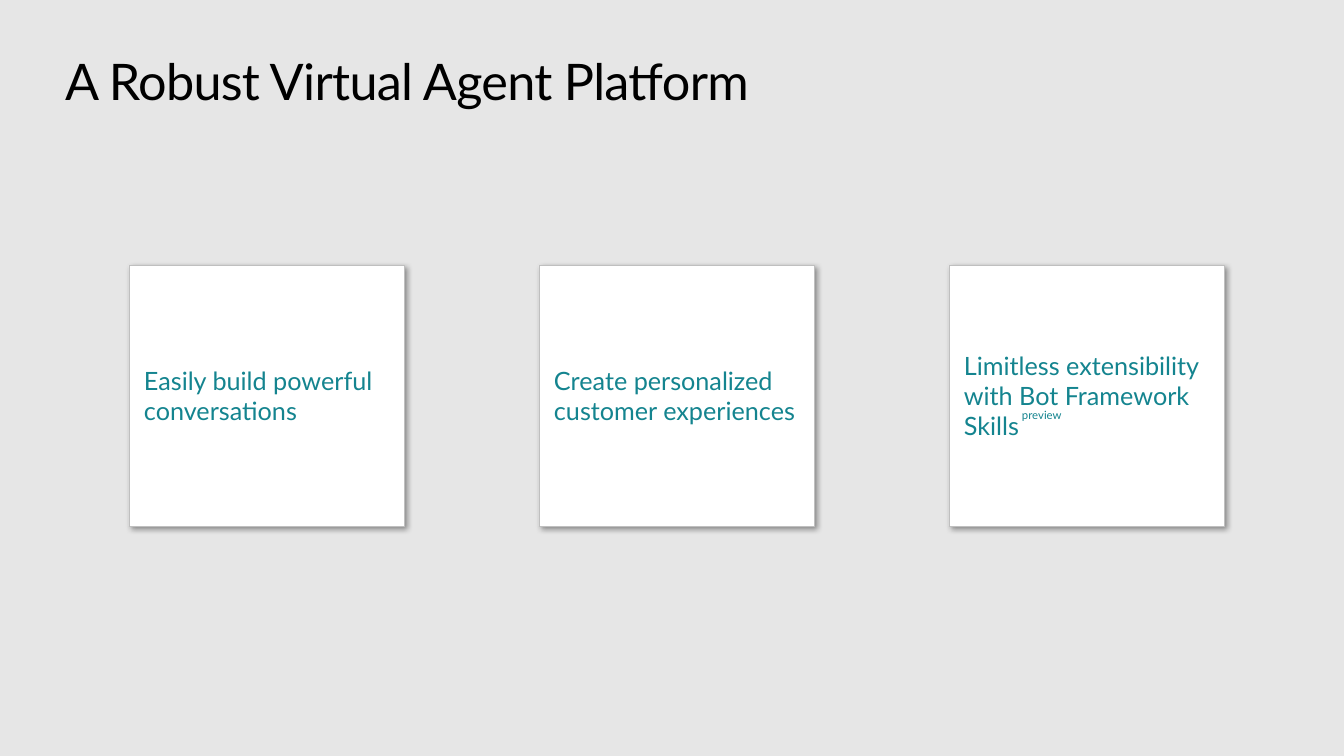
from lxml import etree
from pptx import Presentation
from pptx import util as u
from pptx.dml.color import RGBColor
from pptx.enum import shapes, text
from pptx.oxml import parse_xml
from pptx.oxml.ns import nsdecls, qn

PX = 914400 / 100.8
FONT = "Lato"
BLACK = RGBColor(0x00, 0x00, 0x00)
WHITE = RGBColor(0xFF, 0xFF, 0xFF)
TEAL = RGBColor(0x14, 0x84, 0x8F)
BORDER = RGBColor(0xBF, 0xBF, 0xBF)
BACKGROUND = RGBColor(0xE6, 0xE6, 0xE6)

CARDS = [
    "Easily build powerful conversations",
    "Create personalized customer experiences",
    "Limitless extensibility with Bot Framework Skills",
]
CARD_W, CARD_H, CARD_PITCH = 275, 261, 410


def px(n):
    return u.Emu(round(n * PX))


def place(sp, x, y, w, h):
    sp.left, sp.top, sp.width, sp.height = px(x), px(y), px(w), px(h)


def set_margins(tf, left, top, right, bottom):
    tf.margin_left, tf.margin_top = px(left), px(top)
    tf.margin_right, tf.margin_bottom = px(right), px(bottom)


def write(tf, words, size, color):
    """Fill the frame with one left-aligned run and return that run."""
    tf.text = words
    tf.word_wrap = True
    p = tf.paragraphs[0]
    p.alignment = text.PP_ALIGN.LEFT
    r = p.runs[0]
    r.font.name, r.font.size = FONT, u.Pt(size)
    r.font.color.rgb = color
    return r


def add_soft_shadow(sp):
    sp.shadow.inherit = False
    effects = sp._element.spPr.find(qn("a:effectLst"))
    effects.append(parse_xml(
        f'<a:outerShdw {nsdecls("a")} blurRad="{u.Pt(4)}" dist="{u.Pt(3)}" '
        'dir="2700000" algn="tl" rotWithShape="0">'
        '<a:srgbClr val="000000"><a:alpha val="40000"/></a:srgbClr>'
        '</a:outerShdw>'))


def title(s, x, y, w, h):
    sp = s.shapes.title
    place(sp, x, y, w, h)
    tf = sp.text_frame
    set_margins(tf, 0, 0, 0, 0)
    r = write(tf, "A Robust Virtual Agent Platform", 36, BLACK)
    r.font._element.set("spc", "-50")
    tf.vertical_anchor = text.MSO_ANCHOR.TOP
    tf.auto_size = text.MSO_AUTO_SIZE.SHAPE_TO_FIT_TEXT


def card(s, words, x, y, w, h):
    sp = s.shapes.add_shape(shapes.MSO_SHAPE.RECTANGLE,
                            px(x), px(y), px(w), px(h))
    sp.fill.solid()
    sp.fill.fore_color.rgb = WHITE
    sp.line.color.rgb = BORDER
    sp.line.width = u.Pt(0.5)
    add_soft_shadow(sp)
    tf = sp.text_frame
    set_margins(tf, 15, 5, 10, 5)
    tf.vertical_anchor = text.MSO_ANCHOR.MIDDLE
    write(tf, words, 18, TEAL)
    tf.paragraphs[0].space_after = u.Pt(2.9)


def preview_mark(s, x, y, w, h):
    """Superscript label placed after the last word of a card."""
    tf = s.shapes.add_textbox(px(x), px(y), px(w), px(h)).text_frame
    r = write(tf, "preview", 14, TEAL)
    r.font._element.set("baseline", "30000")
    tf.auto_size = text.MSO_AUTO_SIZE.SHAPE_TO_FIT_TEXT


def card_row(s, x, y):
    for i, words in enumerate(CARDS):
        card(s, words, x + i * CARD_PITCH, y, CARD_W, CARD_H)
    last_x = x + (len(CARDS) - 1) * CARD_PITCH
    preview_mark(s, last_x + 63, y + 136, 66, 34)


def main():
    prs = Presentation()
    prs.slide_width, prs.slide_height = px(1344), px(756)
    s = prs.slides.add_slide(prs.slide_layouts[5])
    s.background.fill.solid()
    s.background.fill.fore_color.rgb = BACKGROUND
    title(s, 65, 50, 1215, 61)
    card_row(s, 129, 265)
    prs.save("out.pptx")


if __name__ == "__main__":
    main()
